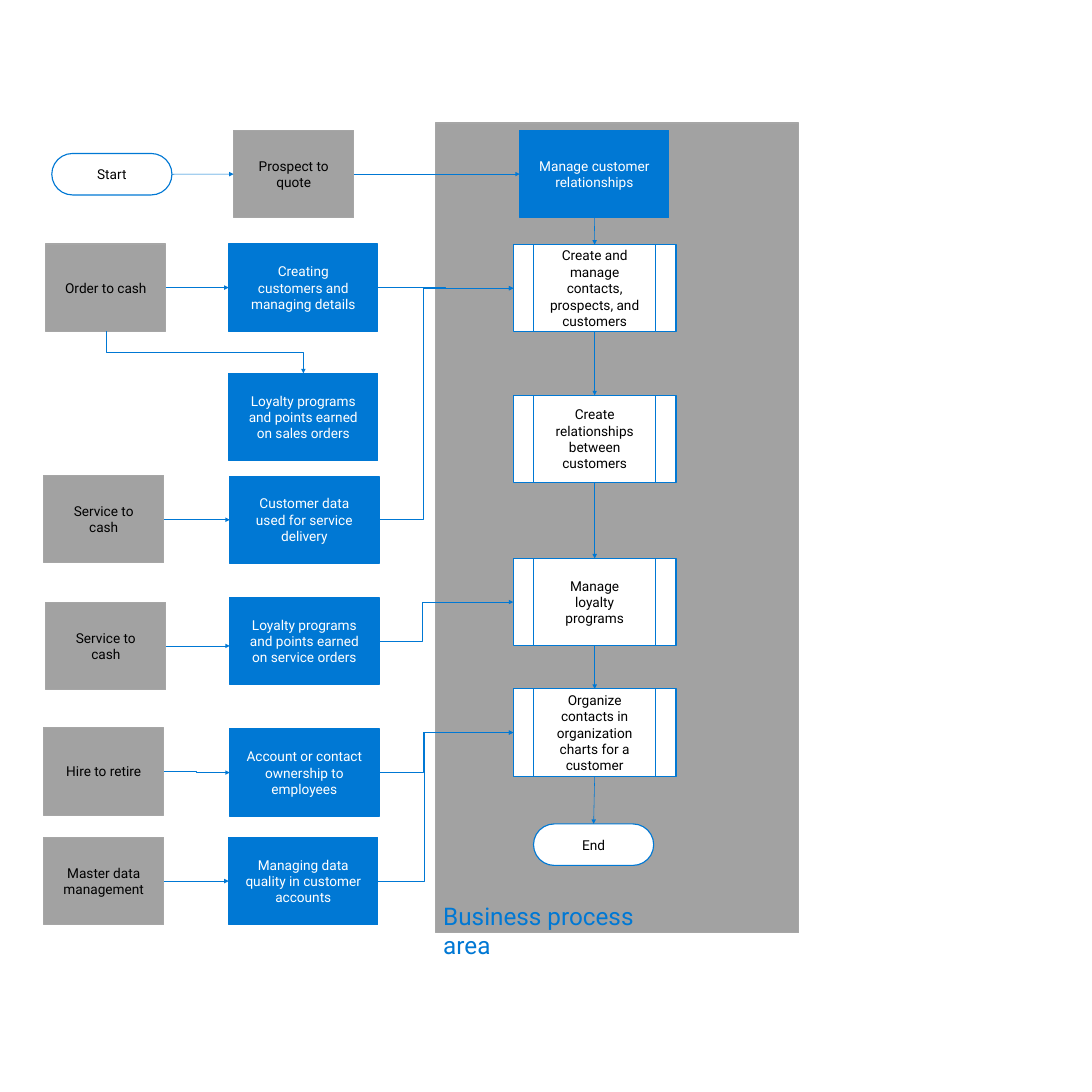
from dataclasses import dataclass
from lxml.etree import SubElement
from pptx import Presentation
from pptx.dml.color import RGBColor as RGB
from pptx.enum.shapes import MSO_CONNECTOR as LINE, MSO_SHAPE as SHAPE
from pptx.enum.text import MSO_ANCHOR as ANCHOR, MSO_AUTO_SIZE as FIT, PP_ALIGN as ALIGN
from pptx.oxml.ns import qn
from pptx.util import Cm, Pt


@dataclass(frozen=True)
class Theme:
    font: str = "Roboto"
    blue: RGB = RGB.from_string("0078D4")
    grey: RGB = RGB.from_string("A2A2A2")
    edge: RGB = RGB.from_string("A6A6A6")
    white: RGB = RGB.from_string("FFFFFF")
    black: RGB = RGB.from_string("000000")
    label: Pt = Pt(18)
    title: Pt = Pt(32)
    outline: Pt = Pt(1.5)
    link: Pt = Pt(0.75)


T = Theme()
TOP, LEFT, BOTTOM, RIGHT = range(4)

TITLE = "Business process area"
TITLE_BOX = (20.62, 41.94, 10.85, 1.37)
AREA_BOX = (20.27, 5.72, 16.89, 37.67)

# style: preset, width, height, fill, outline, text colour
STYLES = {
    "terminal": (SHAPE.ROUNDED_RECTANGLE, 5.59, 1.93, T.white, T.blue, T.black),
    "process": (SHAPE.RECTANGLE, 5.59, 4.06, T.grey, T.edge, T.black),
    "activity": (SHAPE.RECTANGLE, 6.94, 4.06, T.blue, T.blue, T.white),
    "step": (SHAPE.FLOWCHART_PREDEFINED_PROCESS, 7.57, 4.06, T.white, T.blue, T.black),
}

# key: style, left, top, text
BOXES = {
    "start": ("terminal", 2.41, 7.14, "Start"),
    "prospect": ("process", 10.87, 6.07, "Prospect to quote"),
    "manage": ("activity", 24.18, 6.07, "Manage customer relationships"),
    "contacts": ("step", 23.88, 11.38, "Create and manage contacts, prospects, and customers"),
    "relations": ("step", 23.88, 18.39, "Create relationships between customers"),
    "loyalty": ("step", 23.88, 25.98, "Manage loyalty programs"),
    "charts": ("step", 23.88, 32.05, "Organize contacts in organization charts for a customer"),
    "end": ("terminal", 24.82, 38.33, "End"),
    "order": ("process", 2.13, 11.35, "Order to cash"),
    "creating": ("activity", 10.64, 11.35, "Creating customers and managing details"),
    "sales": ("activity", 10.64, 17.37, "Loyalty programs and points earned on sales orders"),
    "service": ("process", 2.03, 22.12, "Service to cash"),
    "delivery": ("activity", 10.69, 22.15, "Customer data used for service delivery"),
    "service 2": ("process", 2.13, 28.02, "Service to cash"),
    "points": ("activity", 10.69, 27.79, "Loyalty programs and points earned on service orders"),
    "hire": ("process", 2.03, 33.86, "Hire to retire"),
    "ownership": ("activity", 10.69, 33.91, "Account or contact ownership to employees"),
    "master": ("process", 2.03, 38.96, "Master data management"),
    "quality": ("activity", 10.64, 38.96, "Managing data quality in customer accounts"),
}

STRAIGHT_ACROSS = [("start", "prospect"), ("prospect", "manage"),
                   ("order", "creating"), ("master", "quality")]
STRAIGHT_DOWN = ["manage", "contacts", "relations", "loyalty", "charts", "end"]
LEVEL = ("service 2", "points")
# from, to, place of the bend as a share of the width
ELBOWS = [
    ("service", "delivery", 0.5),
    ("hire", "ownership", 0.5),
    ("creating", "contacts", 0.5),
    ("delivery", "contacts", 0.33),
    ("points", "loyalty", 0.32),
    ("ownership", "charts", 0.33),
    ("quality", "charts", 0.34),
]
ELBOW_DOWN = ("order", "sales")


def add_block(slide, preset, box, fill, outline):
    sp = slide.shapes.add_shape(preset, *map(Cm, box))
    sp.shadow.inherit = False
    sp.fill.solid()
    sp.fill.fore_color.rgb = fill
    sp.line.color.rgb = outline
    sp.line.width = T.outline
    return sp


def set_text(tf, text, size, color, align):
    tf.word_wrap = True
    tf.text = text
    p = tf.paragraphs[0]
    p.alignment = align
    p.font.name, p.font.size, p.font.color.rgb = T.font, size, color


def add_box(slide, style, left, top, text):
    preset, width, height, fill, outline, color = STYLES[style]
    sp = add_block(slide, preset, (left, top, width, height), fill, outline)
    if style == "terminal":
        sp.adjustments[0] = 0.5
    tf = sp.text_frame
    tf.margin_left = tf.margin_right = Cm(0.76)
    tf.margin_top = tf.margin_bottom = Cm(0.61)
    tf.vertical_anchor = ANCHOR.MIDDLE
    set_text(tf, text, T.label, color, ALIGN.CENTER)


def add_arrow(slide, a, b, sides=(RIGHT, LEFT), bend=None, level=False):
    """Join two boxes; a level arrow keeps the height of its start."""
    kind = LINE.STRAIGHT if bend is None else LINE.ELBOW
    middle = a.top + a.height // 2
    c = slide.shapes.add_connector(kind, a.left + a.width, middle, b.left, middle)
    c.begin_connect(a, sides[0])
    if not level:
        c.end_connect(b, sides[1])
    c.line.color.rgb = T.blue
    c.line.width = T.link
    spPr = c.element.spPr
    SubElement(spPr.find(qn("a:ln")), qn("a:tailEnd"), type="triangle")
    SubElement(spPr, qn("a:effectLst"))
    if bend is not None:
        guides = spPr.find(qn("a:prstGeom")).find(qn("a:avLst"))
        SubElement(guides, qn("a:gd"), name="adj1", fmla=f"val {round(bend * 100000)}")
    return c


def turn_down(c):
    """Turn an elbow so that it leaves and arrives vertically."""
    width, height = c.width, c.height
    c.left += (width - height) // 2
    c.top += (height - width) // 2
    c.width, c.height = height, width
    xfrm = c.element.spPr.find(qn("a:xfrm"))
    xfrm.set("rot", "16200000")
    xfrm.set("flipH", "1")


def add_title(slide):
    title = slide.shapes.title
    title.left, title.top, title.width, title.height = map(Cm, TITLE_BOX)
    tf = title.text_frame
    tf.margin_left = tf.margin_right = tf.margin_top = tf.margin_bottom = 0
    tf.vertical_anchor = ANCHOR.TOP
    tf.auto_size = FIT.SHAPE_TO_FIT_TEXT
    set_text(tf, TITLE, T.title, T.blue, ALIGN.LEFT)
    title.element.getparent().append(title.element)  # in front of the area


def main():
    prs = Presentation()
    prs.slide_width = prs.slide_height = Cm(50.8)
    slide = prs.slides.add_slide(prs.slide_layouts[5])
    add_block(slide, SHAPE.RECTANGLE, AREA_BOX, T.grey, T.edge)
    add_title(slide)
    for box in BOXES.values():
        add_box(slide, *box)
    shapes = dict(zip(BOXES, list(slide.shapes)[-len(BOXES):]))

    def link(a, b, **how):
        return add_arrow(slide, shapes[a], shapes[b], **how)

    for a, b in STRAIGHT_ACROSS:
        link(a, b)
    for a, b in zip(STRAIGHT_DOWN, STRAIGHT_DOWN[1:]):
        link(a, b, sides=(BOTTOM, TOP))
    link(*LEVEL, level=True)
    for a, b, bend in ELBOWS:
        link(a, b, bend=bend)
    turn_down(link(*ELBOW_DOWN, sides=(BOTTOM, TOP), bend=0.5))
    prs.save("out.pptx")


if __name__ == "__main__":
    main()
